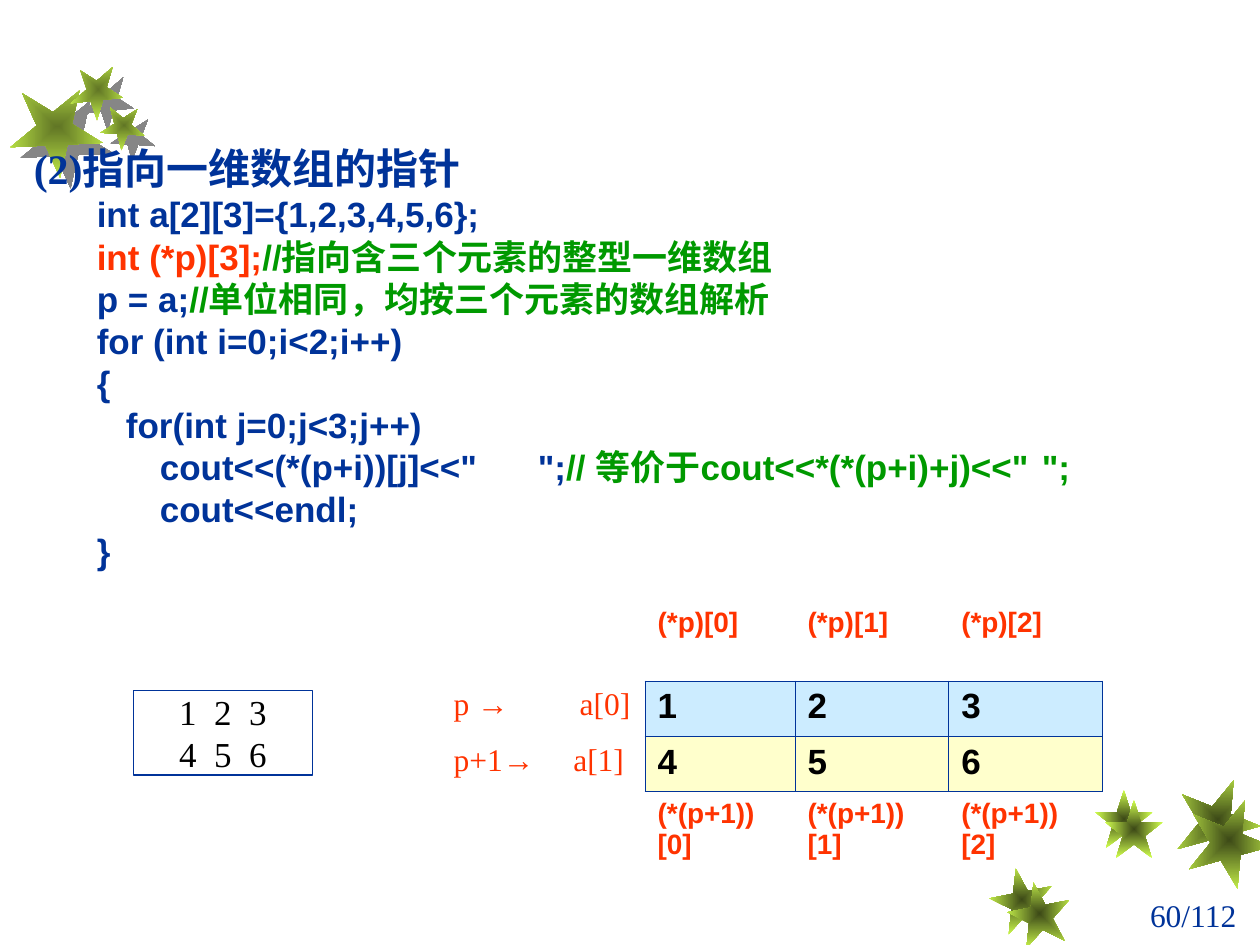
from math import cos, pi, sin

from lxml.etree import SubElement
from pptx import Presentation
from pptx.dml.color import RGBColor as Rgb
from pptx.enum.shapes import MSO_SHAPE as Preset
from pptx.enum.text import MSO_ANCHOR as Anchor, PP_ALIGN as Align
from pptx.oxml import parse_xml
from pptx.oxml.ns import nsdecls, qn
from pptx.util import Inches, Pt

COLORS = {
    "navy": "003399", "red": "FF3300", "green": "009900", "black": "000000",
    "blue_row": "CCECFF", "yellow_row": "FFFFCC", "lime": "D1FF4F",
    "olive": "617625", "moss": "3C4917", "shade": "868686",
}
SANS, SERIF = "Arial", "Times New Roman"
PLAIN_TABLE = "{2D5ABB26-0587-4C30-8999-92F81FD0307C}"
LOWER_STARS = [
    (78.6, 68.9, 5, 5, 349), (86.9, 62.7, 4.6, 4.6, 0), (93.3, 61.7, 6.7, 6.7, 22),
    (80, 70, 5, 5, 349), (87.7, 63.5, 4.6, 4.6, 0), (94.2, 63.3, 6.7, 6.7, 22),
]
UPPER_STARS = [
    (0.8, 6.7, 7.5, 6.7, 31.6), (5.8, 5, 4, 4.2, 32.7), (8.1, 8.3, 3.5, 3.3, 39.3),
]
CODE = [
    [("int a[2][3]={1,2,3,4,5,6};", "navy")],
    [("int (*p)[3];", "red"), ("//指向含三个元素的整型一维数组", "green")],
    [("p = a;", "navy"), ("//单位相同，均按三个元素的数组解析", "green")],
    [("for (int i=0;i<2;i++)", "navy")],
    [("{", "navy")],
    [("   for(int j=0;j<3;j++)", "navy")],
    [("\tcout<<(*(p+i))[j]<<\"\t\";", "navy"),
     ("// 等价于cout<<*(*(p+i)+j)<<\"\t\";", "green")],
    [("\tcout<<endl;", "navy")],
    [("}", "navy")],
]


def grid(*cells):
    """Turn counts of grid cells, 100 columns by 75 rows, into lengths."""
    return [Inches(cell / 10) for cell in cells]


def add_run(paragraph, text, size, color, font=SANS, bold=False):
    """Append one formatted run."""
    run = paragraph.add_run()
    run.text = text
    run.font.size = Pt(size)
    run.font.name = font
    run.font.bold = bold
    run.font.color.rgb = Rgb.from_string(COLORS[color])


def add_tabs(paragraph, stops):
    """Give a paragraph left tab stops, in inches."""
    tabs = SubElement(paragraph._p.get_or_add_pPr(), qn("a:tabLst"))
    for stop in stops:
        SubElement(tabs, qn("a:tab"), pos=str(Inches(stop)), algn="l")


def add_star(group, box, center_color, shadowed):
    """Draw a five-pointed star that fills its box before rotation."""
    left, top, width, height = grid(*box[:4])
    points = []
    for step in range(10):
        radius = 0.382 if step % 2 else 1
        angle = step * pi / 5
        across = 0.5 + radius * sin(angle) / (2 * sin(2 * pi / 5))
        down = (1 - radius * cos(angle)) / (1 + cos(pi / 5))
        points.append((left + across * width, top + down * height))
    builder = group.shapes.build_freeform(*points[0])
    builder.add_line_segments(points[1:], close=True)
    star = builder.convert_to_shape()
    star.rotation = box[4]
    star.line.fill.background()
    star.shadow.inherit = False
    star.fill.gradient()
    properties = star._element.spPr
    old_fill = properties.find(qn("a:gradFill"))
    properties.replace(old_fill, parse_xml(
        f'<a:gradFill {nsdecls("a")} rotWithShape="1"><a:gsLst>'
        f'<a:gs pos="0"><a:srgbClr val="{COLORS[center_color]}"/></a:gs>'
        f'<a:gs pos="100000"><a:srgbClr val="{COLORS["lime"]}"/></a:gs></a:gsLst>'
        '<a:path path="rect"><a:fillToRect l="50000" t="50000" r="50000" b="50000"/>'
        '</a:path></a:gradFill>'))
    if shadowed:
        properties.find(qn("a:effectLst")).append(parse_xml(
            f'<a:outerShdw {nsdecls("a")} dist="{Pt(8.5)}" dir="2700000" algn="ctr" '
            f'rotWithShape="0"><a:srgbClr val="{COLORS["shade"]}"/></a:outerShdw>'))


def add_stars(slide, boxes, center_color, shadowed):
    """Group a cluster of stars."""
    group = slide.shapes.add_group_shape()
    for box in boxes:
        add_star(group, box, center_color, shadowed)


def add_page_number(slide, box):
    """Place the page number."""
    frame = slide.shapes.add_textbox(*grid(*box)).text_frame
    frame.word_wrap = True
    frame.paragraphs[0].alignment = Align.CENTER
    add_run(frame.paragraphs[0], "60/112", 18, "navy", SERIF)


def add_code(slide, box):
    """Write the heading and the program under it."""
    frame = slide.shapes.add_textbox(*grid(*box)).text_frame
    frame.word_wrap = True
    heading = frame.paragraphs[0]
    heading.line_spacing = Pt(29)
    add_run(heading, "(2)指向一维数组的指针", 24, "navy", SERIF, True)
    for line in CODE:
        paragraph = frame.add_paragraph()
        paragraph.level = 1
        paragraph.line_spacing = Pt(24)
        properties = paragraph._p.get_or_add_pPr()
        properties.set("marL", str(Inches(0.5)))
        properties.set("indent", "0")
        add_tabs(paragraph, [*range(8), 8.3])
        for text, color in line:
            add_run(paragraph, text, 20, color, SANS, True)


def add_output(slide, box):
    """Frame the printed result of the program."""
    shape = slide.shapes.add_shape(Preset.RECTANGLE, *grid(*box))
    shape.shadow.inherit = False
    shape.fill.background()
    shape.line.color.rgb = Rgb.from_string(COLORS["navy"])
    shape.line.width = Pt(1)
    frame = shape.text_frame
    frame.word_wrap = False
    frame.vertical_anchor = Anchor.MIDDLE
    for index, text in enumerate(["1  2  3", "4  5  6"]):
        paragraph = frame.add_paragraph() if index else frame.paragraphs[0]
        paragraph.alignment = Align.CENTER
        paragraph.line_spacing = Pt(24)
        add_run(paragraph, text, 20, "black", SERIF)


def add_borders(cell, right_width):
    """Rule all four sides of a cell."""
    properties = cell._tc.get_or_add_tcPr()
    for side in "LRTB":
        width = right_width if side == "R" else 0.45
        line = SubElement(properties, qn(f"a:ln{side}"), w=str(Pt(width)))
        fill = SubElement(line, qn("a:solidFill"))
        SubElement(fill, qn("a:srgbClr"), val=COLORS["navy"])


def add_array_table(slide, box):
    """Show the array with its row pointers and element names."""
    graphic = slide.shapes.add_table(4, 4, *grid(*box))
    table = graphic.table
    table.first_row = table.horz_banding = False
    table._tbl.tblPr.find(qn("a:tableStyleId")).text = PLAIN_TABLE
    for column, width in zip(table.columns, grid(16.2, 11.9, 12.2, 12.2)):
        column.width = width
    for row, height in zip(table.rows, grid(6.35, 4.4, 4.4, 6.4)):
        row.height = height
    for row, prefix in ((0, "(*p)"), (3, "(*(p+1))")):
        for index in range(3):
            paragraph = table.cell(row, index + 1).text_frame.paragraphs[0]
            add_run(paragraph, f"{prefix}[{index}]", 16, "red", SANS, True)
    data_rows = [("p ", "a[0]", 1, "blue_row"), ("p+1", "a[1]", 0.95, "yellow_row")]
    for index, (pointer, name, stop, fill) in enumerate(data_rows):
        label = table.cell(index + 1, 0).text_frame.paragraphs[0]
        add_tabs(label, [stop])
        for text, font in ((pointer, SERIF), ("→", SANS), ("\t" + name, SERIF)):
            add_run(label, text, 18, "red", font)
        for column in range(1, 4):
            cell = table.cell(index + 1, column)
            add_borders(cell, 1.08 if column == 3 else 0.45)
            cell.fill.solid()
            cell.fill.fore_color.rgb = Rgb.from_string(COLORS[fill])
            add_run(cell.text_frame.paragraphs[0], str(index * 3 + column),
                    20, "black", SANS, True)


def main():
    """Build and save the slide."""
    presentation = Presentation()
    presentation.slide_width, presentation.slide_height = grid(100, 75)
    slide = presentation.slides.add_slide(presentation.slide_layouts[6])
    add_stars(slide, LOWER_STARS, "moss", False)
    add_stars(slide, UPPER_STARS, "olive", True)
    add_page_number(slide, (89.4, 70.6, 10.6, 4.4))
    add_code(slide, (1.7, 10.8, 95, 35))
    add_output(slide, (10.6, 54.8, 14.2, 6.7))
    add_array_table(slide, (35, 47.7, 52.5, 21.55))
    presentation.save("out.pptx")


if __name__ == "__main__":
    main()
